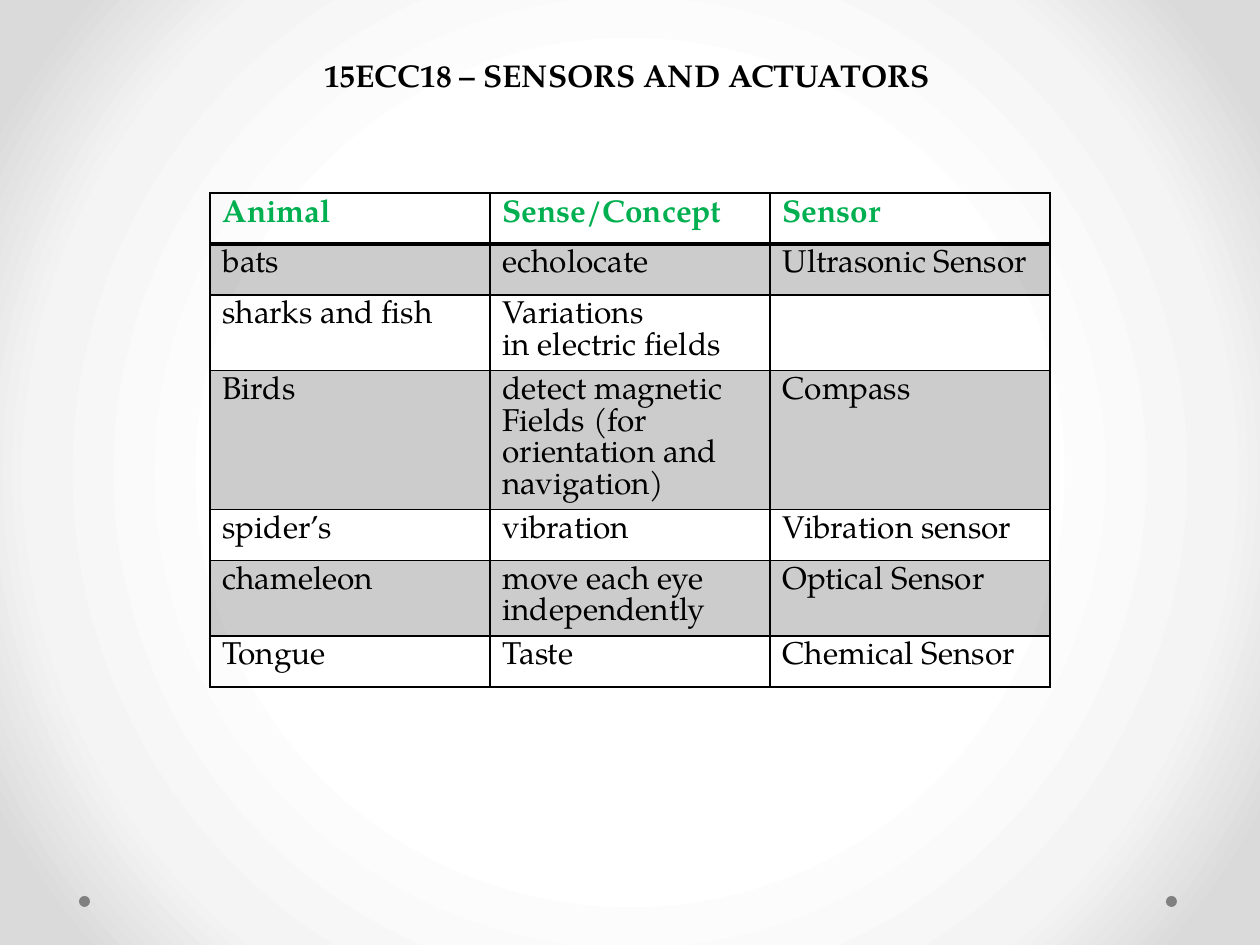
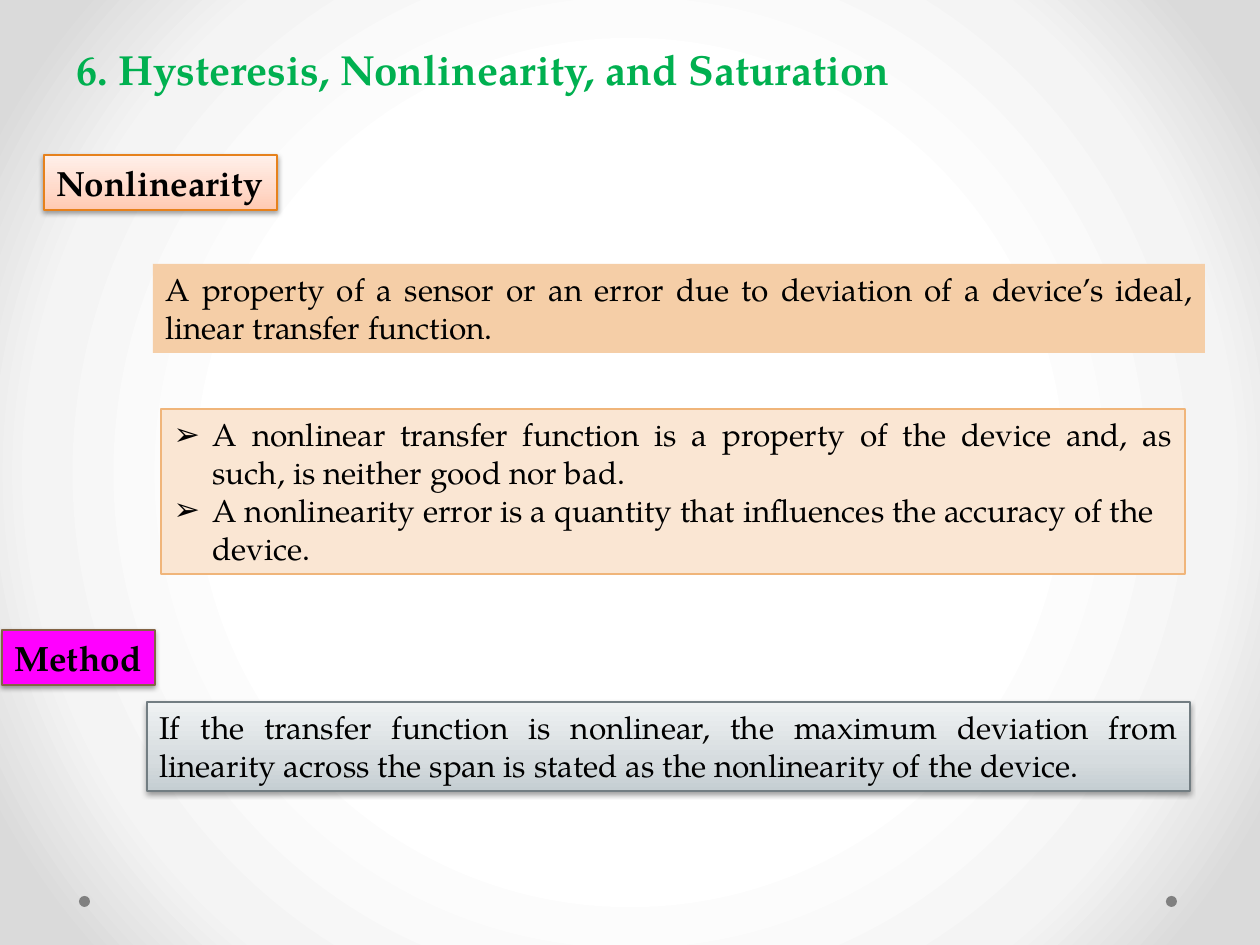
from lxml.etree import SubElement
from pptx import Presentation
from pptx.dml.color import RGBColor
from pptx.enum.shapes import MSO_SHAPE
from pptx.enum.text import MSO_ANCHOR, MSO_AUTO_SIZE, PP_ALIGN
from pptx.oxml import parse_xml
from pptx.oxml.ns import nsdecls, qn
from pptx.util import Emu, Pt

# Shared look
FONT = "TeX Gyre Pagella"
BLACK = RGBColor(0x00, 0x00, 0x00)
GREEN = RGBColor(0x00, 0xB0, 0x50)
GREY = RGBColor(0x80, 0x80, 0x80)
MAGENTA = RGBColor(0xFF, 0x00, 0xFF)
BROWN = RGBColor(0x83, 0x64, 0x45)
ORANGE = RGBColor(0xE6, 0x81, 0x1C)
SAND = RGBColor(0xF5, 0xCE, 0xA7)
CREAM = RGBColor(0xFA, 0xE6, 0xD3)
APRICOT = RGBColor(0xF0, 0xB5, 0x7A)
SLATE = RGBColor(0x72, 0x7D, 0x82)
PEACH_FADE = [(0, RGBColor(0xFF, 0xC9, 0xB1)), (35, RGBColor(0xFF, 0xD8, 0xC8)),
              (100, RGBColor(0xFF, 0xF0, 0xEA))]
SLATE_FADE = [(0, RGBColor(0xC5, 0xCE, 0xD2)), (35, RGBColor(0xD6, 0xDC, 0xDF)),
              (100, RGBColor(0xEF, 0xF2, 0xF3))]
BACKDROP_FADE = [(50, RGBColor(0xFF, 0xFF, 0xFF)), (76, RGBColor(0xF4, 0xF4, 0xF4)),
                 (92, RGBColor(0xDA, 0xDA, 0xDA))]
UPWARD = '<a:lin ang="16200000" scaled="0"/>'
FROM_CENTRE = ('<a:path path="circle">'
               '<a:fillToRect l="50000" t="50000" r="50000" b="50000"/></a:path>')
EMU_PER_PX = 914400 / 126
DOT_SIZE, DOT_TOP, DOT_LEFTS = 11, 896, (79, 1166)

# Slide 1 content
COURSE_TITLE = "15ECC18 – SENSORS AND ACTUATORS"
SENSES = [
    ("Animal", "Sense/Concept", "Sensor"),
    ("bats", "echolocate", "Ultrasonic Sensor"),
    ("sharks and fish", "Variations\nin electric fields", ""),
    ("Birds", "detect magnetic\nFields (for orientation and navigation)", "Compass"),
    ("spider’s", "vibration", "Vibration sensor"),
    ("chameleon", "move each eye independently", "Optical Sensor"),
    ("Tongue", "Taste", "Chemical Sensor"),
]
TABLE_LEFT, TABLE_TOP, COLUMN_WIDTH, ROW_HEIGHT = 210, 193, 280, 51

# Slide 2 content
TOPIC_TITLE = "6. Hysteresis, Nonlinearity, and Saturation"
NONLINEAR_POINTS = [
    ("A nonlinear transfer function is a property of the device and, as such, "
     "is neither good nor bad.", PP_ALIGN.JUSTIFY),
    ("A nonlinearity error is a quantity that influences the accuracy of the device.",
     PP_ALIGN.LEFT),
]
POINTS_BOX = (161, 409, 1024, 165)
# (text, box, fill, line, raised)
LABELS = [
    ("Nonlinearity", (44, 155, 233, 55), PEACH_FADE, ORANGE, True),
    ("Method", (2, 630, 153, 55), MAGENTA, BROWN, True),
]
STATEMENTS = [
    ("A property of a sensor or an error due to deviation of a device’s ideal, "
     "linear transfer function.", (153, 264, 1052, 89), SAND, None, False),
    ("If the transfer function is nonlinear, the maximum deviation from linearity "
     "across the span is stated as the nonlinearity of the device.",
     (147, 702, 1043, 89), SLATE_FADE, SLATE, True),
]


def px(length):
    return Emu(round(length * EMU_PER_PX))


def place(shape, box):
    shape.left, shape.top, shape.width, shape.height = map(px, box)


def write(paragraph, text, size=18, color=BLACK, bold=False, align=PP_ALIGN.LEFT):
    paragraph.alignment = align
    run = paragraph.add_run()
    run.text = text
    run.font.name, run.font.size, run.font.bold = FONT, Pt(size), bold
    run.font.color.rgb = color


def set_gradient(fill, owner, stops, direction):
    fill.gradient()
    old = next(owner.iter(qn("a:gradFill")))
    colors = "".join(f'<a:gs pos="{at * 1000}"><a:srgbClr val="{color}"/></a:gs>'
                     for at, color in stops)
    old.getparent().replace(old, parse_xml(
        f'<a:gradFill {nsdecls("a")} rotWithShape="1">'
        f'<a:gsLst>{colors}</a:gsLst>{direction}</a:gradFill>'))


def paint(shape, fill, line):
    if isinstance(fill, list):
        set_gradient(shape.fill, shape._element, fill, UPWARD)
    else:
        shape.fill.solid()
        shape.fill.fore_color.rgb = fill
    if line is None:
        shape.line.fill.background()
    else:
        shape.line.color.rgb = line
        shape.line.width = Pt(0.75)


def add_panel(slide, text, box, fill, line, raised, wrap=True, **style):
    panel = slide.shapes.add_shape(MSO_SHAPE.RECTANGLE, *map(px, box))
    paint(panel, fill, line)
    panel.shadow.inherit = False
    if raised:
        effects = panel._element.spPr.find(qn("a:effectLst"))
        effects.append(parse_xml(
            f'<a:outerShdw {nsdecls("a")} blurRad="{Pt(3.1)}" dist="{Pt(1.6)}" '
            'dir="5400000" rotWithShape="0"><a:srgbClr val="000000">'
            '<a:alpha val="38000"/></a:srgbClr></a:outerShdw>'))
    frame = panel.text_frame
    frame.word_wrap = wrap
    frame.vertical_anchor = MSO_ANCHOR.TOP
    write(frame.paragraphs[0], text, **style)


def prepare(placeholder, box):
    place(placeholder, box)
    frame = placeholder.text_frame
    frame.word_wrap = True
    frame.auto_size = MSO_AUTO_SIZE.NONE
    frame.vertical_anchor = MSO_ANCHOR.TOP
    return frame


def add_title(slide, text, box, **style):
    frame = prepare(slide.shapes.title, box)
    write(frame.paragraphs[0], text, bold=True, **style)


def add_bullets(slide, points, box):
    body = slide.placeholders[1]
    paint(body, CREAM, APRICOT)
    frame = prepare(body, box)
    for number, (text, align) in enumerate(points):
        paragraph = frame.add_paragraph() if number else frame.paragraphs[0]
        paragraph.space_before = Pt(0)
        write(paragraph, text, align=align)
        properties = paragraph._p.get_or_add_pPr()
        properties.set("marL", str(px(39)))
        properties.set("indent", str(px(-39)))
        SubElement(properties, qn("a:buChar")).set("char", "➢")


def draw_borders(cell, is_header):
    properties = cell._tc.get_or_add_tcPr()
    for position, side in enumerate(("lnL", "lnR", "lnT", "lnB")):
        width = Pt(2 if is_header and side == "lnB" else 1)
        properties.insert(position, parse_xml(
            f'<a:{side} {nsdecls("a")} w="{width}"><a:solidFill>'
            f'<a:srgbClr val="{BLACK}"/></a:solidFill></a:{side}>'))


def shade(cell, is_banded):
    if not is_banded:
        cell.fill.background()
        return
    cell.fill.solid()
    cell.fill.fore_color.rgb = BLACK
    tint = next(cell._tc.tcPr.iter(qn("a:srgbClr")))
    SubElement(tint, qn("a:alpha")).set("val", "20000")


def add_senses_table(slide):
    rows, columns = len(SENSES), len(SENSES[0])
    table = slide.shapes.add_table(
        rows, columns, px(TABLE_LEFT), px(TABLE_TOP),
        px(columns * COLUMN_WIDTH), px(rows * ROW_HEIGHT)).table
    table.first_row = table.horz_banding = False
    for row, entries in enumerate(SENSES):
        is_header = row == 0
        for column, entry in enumerate(entries):
            cell = table.cell(row, column)
            shade(cell, row % 2 == 1)
            draw_borders(cell, is_header)
            frame = cell.text_frame
            for number, text in enumerate(entry.split("\n") if entry else []):
                paragraph = frame.add_paragraph() if number else frame.paragraphs[0]
                paragraph.line_spacing = Pt(18)
                write(paragraph, text, color=GREEN if is_header else BLACK,
                      bold=is_header)


def decorate_master(master, slide):
    """Give the master its backdrop and the two footer dots."""
    set_gradient(master.background.fill, master._element, BACKDROP_FADE, FROM_CENTRE)
    for number, left in enumerate(DOT_LEFTS):
        dot = slide.shapes.add_shape(
            MSO_SHAPE.OVAL, px(left), px(DOT_TOP), px(DOT_SIZE), px(DOT_SIZE))
        paint(dot, GREY, None)
        dot.shadow.inherit = False
        dot._element.nvSpPr.cNvPr.set("id", str(100 + number))
        master.shapes._spTree.append(dot._element)


def main():
    deck = Presentation()
    deck.slide_width, deck.slide_height = px(1260), px(945)

    # Slide 1: animal senses and their sensors
    senses = deck.slides.add_slide(deck.slide_layouts[5])
    decorate_master(deck.slide_master, senses)
    add_title(senses, COURSE_TITLE, (287, 50, 680, 50), align=PP_ALIGN.CENTER)
    add_senses_table(senses)

    # Slide 2: nonlinearity
    nonlinearity = deck.slides.add_slide(deck.slide_layouts[1])
    add_title(nonlinearity, TOPIC_TITLE, (64, 37, 903, 63), size=24, color=GREEN)
    add_bullets(nonlinearity, NONLINEAR_POINTS, POINTS_BOX)
    for label in LABELS:
        add_panel(nonlinearity, *label, wrap=False, size=20, bold=True)
    for statement in STATEMENTS:
        add_panel(nonlinearity, *statement, align=PP_ALIGN.JUSTIFY)

    deck.save("out.pptx")


if __name__ == "__main__":
    main()
